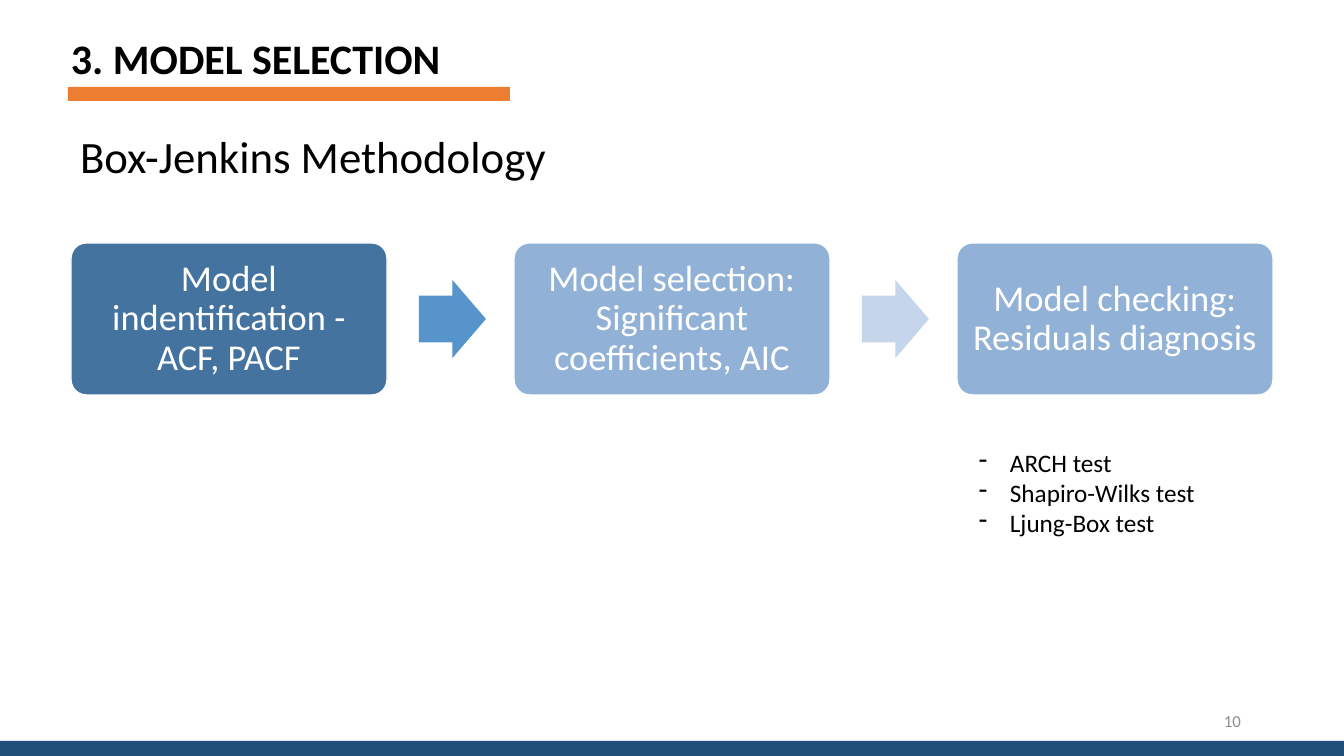
from lxml import etree
from pptx import Presentation
from pptx.dml.color import RGBColor
from pptx.enum.shapes import MSO_SHAPE as Shape
from pptx.enum.text import MSO_ANCHOR as Anchor, PP_ALIGN as Align
from pptx.oxml.ns import qn
from pptx.util import Pt

WIDTH, HEIGHT = 1344, 756
EMU_PER_PX = 12192000 / WIDTH
FONT = "Calibri"
COLORS = {
    "black": "000000", "white": "FFFFFF", "gray": "8C8C8C",
    "orange": "ED7D31", "navy": "1F4E79",
    "step_active": "43739E", "step": "91B1D6",
    "arrow_active": "5794CB", "arrow": "C5D5EB",
}


def px(length):
    return round(length * EMU_PER_PX)


def color(name):
    return RGBColor.from_string(COLORS[name])


def write(frame, text, size=18, ink="black", bold=False, align=Align.LEFT,
          anchor=Anchor.TOP, spacing=1.0, inset=(10, 5), dash_indent=0):
    """Fill a text frame, one paragraph per line of text."""
    frame.word_wrap = True
    frame.vertical_anchor = anchor
    frame.margin_left = frame.margin_right = px(inset[0])
    frame.margin_top = frame.margin_bottom = px(inset[1])
    frame.text = text
    for paragraph in frame.paragraphs:
        paragraph.alignment = align
        paragraph.line_spacing = spacing
        font = paragraph.runs[0].font
        font.name, font.size, font.bold = FONT, Pt(size), bold
        font.color.rgb = color(ink)
        if dash_indent:
            props = paragraph._p.get_or_add_pPr()
            props.set("marL", str(px(dash_indent)))
            props.set("indent", str(-px(dash_indent)))
            etree.SubElement(props, qn("a:buChar")).set("char", "-")


class SlideBuilder:
    def __init__(self, deck):
        self.slide = deck.slides.add_slide(deck.slide_layouts[5])

    def title(self, text, box, **style):
        heading = self.slide.shapes.title
        heading.left, heading.top, heading.width, heading.height = map(px, box)
        write(heading.text_frame, text, **style)

    def shape(self, kind, box, fill, outline=None, adjust=()):
        figure = self.slide.shapes.add_shape(kind, *map(px, box))
        figure.shadow.inherit = False
        figure.fill.solid()
        figure.fill.fore_color.rgb = color(fill)
        if outline:
            figure.line.color.rgb = color(outline)
            figure.line.width = Pt(1)
        else:
            figure.line.fill.background()
        for index, value in enumerate(adjust):
            figure.adjustments[index] = value
        return figure

    def text(self, text, box, **style):
        textbox = self.slide.shapes.add_textbox(*map(px, box))
        write(textbox.text_frame, text, **style)


def main():
    deck = Presentation()
    deck.slide_width, deck.slide_height = px(WIDTH), px(HEIGHT)
    page = SlideBuilder(deck)

    # Heading
    page.shape(Shape.RECTANGLE, (68, 87, 442, 14), "orange")
    page.title("3. MODEL SELECTION", (61, 26, 1213, 70), size=30, bold=True,
               anchor=Anchor.MIDDLE, spacing=0.9)
    page.text("Box-Jenkins Methodology", (70, 124, 652, 64), size=32)

    # Process steps
    steps = [
        ("Model indentification - ACF, PACF", "step_active", "arrow_active"),
        ("Model selection: Significant coefficients, AIC", "step", "arrow"),
        ("Model checking: Residuals diagnosis", "step", None),
    ]
    first_left, step_pitch, arrow_offset = 71, 443, 348
    for index, (label, step_fill, arrow_fill) in enumerate(steps):
        left = first_left + index * step_pitch
        step = page.shape(Shape.ROUNDED_RECTANGLE, (left, 243, 316, 152),
                          step_fill, outline="white", adjust=[0.1])
        write(step.text_frame, label, size=26, ink="white", align=Align.CENTER,
              anchor=Anchor.MIDDLE, spacing=0.9, inset=(11, 11))
        if arrow_fill:
            page.shape(Shape.RIGHT_ARROW, (left + arrow_offset, 280, 67, 78),
                       arrow_fill, adjust=[0.6, 0.5])

    # Residual tests
    page.text("ARCH test\nShapiro-Wilks test\nLjung-Box test",
              (969, 442, 305, 102), dash_indent=31)

    # Footer
    page.shape(Shape.RECTANGLE, (0, 741, WIDTH, 15), "navy")
    page.text("10", (949, 701, 302, 40), size=12, ink="gray",
              align=Align.RIGHT, anchor=Anchor.MIDDLE)

    deck.save("out.pptx")


if __name__ == "__main__":
    main()
